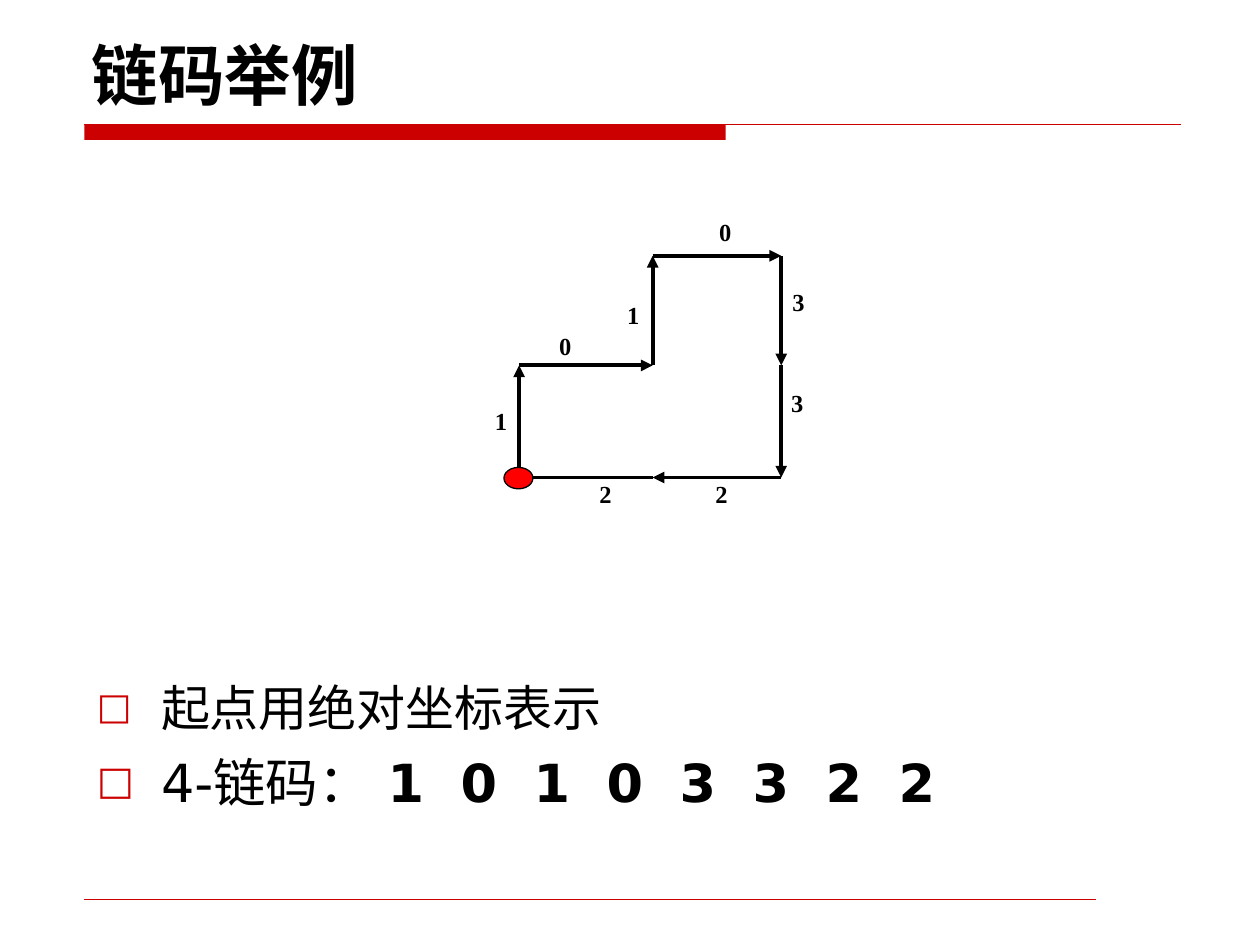
"""Builds a slide that explains the 4-direction chain code of a closed contour."""
from dataclasses import dataclass

from lxml.etree import SubElement
from pptx import Presentation
from pptx.dml.color import RGBColor
from pptx.enum.shapes import MSO_CONNECTOR as Link, MSO_SHAPE as Preset
from pptx.enum.text import MSO_ANCHOR as Anchor
from pptx.oxml.ns import qn
from pptx.slide import Slide
from pptx.util import Emu, Inches, Pt


@dataclass(frozen=True)
class Theme:
    accent: str = "CC0000"
    ink: str = "000000"
    start: str = "FF0000"
    sans: str = "DejaVu Sans"
    serif: str = "Times New Roman"
    title: float = 38
    point: float = 28
    code: float = 30
    label: float = 14
    arrow: float = 2.25
    rule: float = 0.75
    hairline: float = 0.25


@dataclass(frozen=True)
class Box:
    column: float
    row: float
    columns: float
    rows: float


@dataclass(frozen=True)
class Step:
    code: int
    label_column: float
    label_row: float


THEME = Theme()
COLUMNS, ROWS = 100, 75
CELL = Inches(0.1)
NODE_COLUMNS = (41.2, 51.8, 62)
NODE_ROWS = (37.9, 29, 20.3)
DIRECTIONS = ((1, 0), (0, 1), (-1, 0), (0, -1))
CHAIN = (
    Step(1, 38.3, 31.7),
    Step(0, 43.4, 25.8),
    Step(1, 48.8, 23.3),
    Step(0, 56.1, 16.7),
    Step(3, 61.9, 22.3),
    Step(3, 61.8, 30.3),
    Step(2, 55.8, 37.5),
    Step(2, 46.6, 37.5),
)


def cells(count: float) -> Emu:
    """Turn a number of grid cells into a length."""
    return Emu(round(count * CELL))


def place(box: Box) -> tuple[Emu, ...]:
    """Give left, top, width and height of a grid box."""
    return tuple(map(cells, (box.column, box.row, box.columns, box.rows)))


def add_line(slide: Slide, start: tuple[float, float], end: tuple[float, float],
             *, color: str, width: float, arrow: bool = False) -> None:
    """Draw a straight line between two grid points."""
    line = slide.shapes.add_connector(Link.STRAIGHT, *map(cells, start + end))
    line.line.color.rgb = RGBColor.from_string(color)
    line.line.width = Pt(width)
    if arrow:
        SubElement(line.line._get_or_add_ln(), qn("a:tailEnd"), type="triangle")
    SubElement(line._element.spPr, qn("a:effectLst"))


def add_filled(slide: Slide, preset: Preset, box: Box, *, fill: str,
               outline: str | None = None) -> None:
    """Draw a filled preset shape, with an outline if one is named."""
    shape = slide.shapes.add_shape(preset, *place(box))
    shape.shadow.inherit = False
    shape.fill.solid()
    shape.fill.fore_color.rgb = RGBColor.from_string(fill)
    if outline:
        shape.line.color.rgb = RGBColor.from_string(outline)
        shape.line.width = Pt(THEME.rule)
    else:
        shape.line.fill.background()


def add_frame(slide: Slide, box: Box, anchor: Anchor = Anchor.TOP):
    """Add a wrapping text box and return its text frame."""
    frame = slide.shapes.add_textbox(*place(box)).text_frame
    frame.word_wrap = True
    frame.vertical_anchor = anchor
    return frame


def write(paragraph, text: str, *, size: float, font: str = THEME.sans,
          bold: bool = False) -> None:
    """Append formatted text to a paragraph."""
    run = paragraph.add_run()
    run.text = text
    run.font.size = Pt(size)
    run.font.name = font
    run.font.bold = bold
    run.font.color.rgb = RGBColor.from_string(THEME.ink)
    SubElement(run.font._element, qn("a:ea"), typeface=font)


def add_bullet(paragraph, space_before: float) -> None:
    """Give a paragraph a hanging square bullet."""
    paragraph.space_before = Pt(space_before)
    properties = paragraph._p.get_or_add_pPr()
    properties.set("marL", str(cells(5.1)))
    properties.set("indent", str(-cells(5.1)))
    color = SubElement(properties, qn("a:buClr"))
    SubElement(color, qn("a:srgbClr"), val=THEME.accent)
    SubElement(properties, qn("a:buSzPct"), val="75000")
    SubElement(properties, qn("a:buFont"), typeface=THEME.sans)
    SubElement(properties, qn("a:buChar"), char="□")


def draw_heading(slide: Slide) -> None:
    """Draw the title, its bar and the two rules."""
    add_filled(slide, Preset.RECTANGLE, Box(6.7, 9.9, 50.9, 1.2), fill=THEME.accent)
    add_line(slide, (6.7, 9.9), (93.7, 9.9), color=THEME.accent, width=THEME.rule)
    add_line(slide, (6.7, 71.4), (87, 71.4), color=THEME.accent, width=THEME.hairline)
    title = add_frame(slide, Box(6.3, 1.3, 87.5, 8.2), Anchor.BOTTOM)
    write(title.paragraphs[0], "链码举例", size=THEME.title, bold=True)


def draw_contour(slide: Slide) -> None:
    """Follow the chain from node to node and label each step."""
    column = row = 0
    for step in CHAIN:
        start = NODE_COLUMNS[column], NODE_ROWS[row]
        across, up = DIRECTIONS[step.code]
        column, row = column + across, row + up
        add_line(slide, start, (NODE_COLUMNS[column], NODE_ROWS[row]),
                 color=THEME.ink, width=THEME.arrow, arrow=True)
        label = add_frame(slide, Box(step.label_column, step.label_row, 5.6, 3.4))
        write(label.paragraphs[0], str(step.code), size=THEME.label,
              font=THEME.serif, bold=True)
    add_filled(slide, Preset.OVAL, Box(40, 37.1, 2.3, 1.7),
               fill=THEME.start, outline=THEME.ink)


def draw_points(slide: Slide) -> None:
    """Write the two bullet points below the contour."""
    points = add_frame(slide, Box(6.7, 53.3, 87.5, 18.1))
    origin, code = points.paragraphs[0], points.add_paragraph()
    add_bullet(origin, 7)
    write(origin, "起点用绝对坐标表示", size=THEME.point)
    add_bullet(code, 7.5)
    write(code, "4-链码： ", size=THEME.code)
    write(code, "  ".join(str(step.code) for step in CHAIN), size=THEME.code, bold=True)


def main() -> None:
    """Build and save the slide."""
    deck = Presentation()
    deck.slide_width, deck.slide_height = cells(COLUMNS), cells(ROWS)
    slide = deck.slides.add_slide(deck.slide_layouts[6])
    draw_heading(slide)
    draw_contour(slide)
    draw_points(slide)
    deck.save("out.pptx")


if __name__ == "__main__":
    main()
